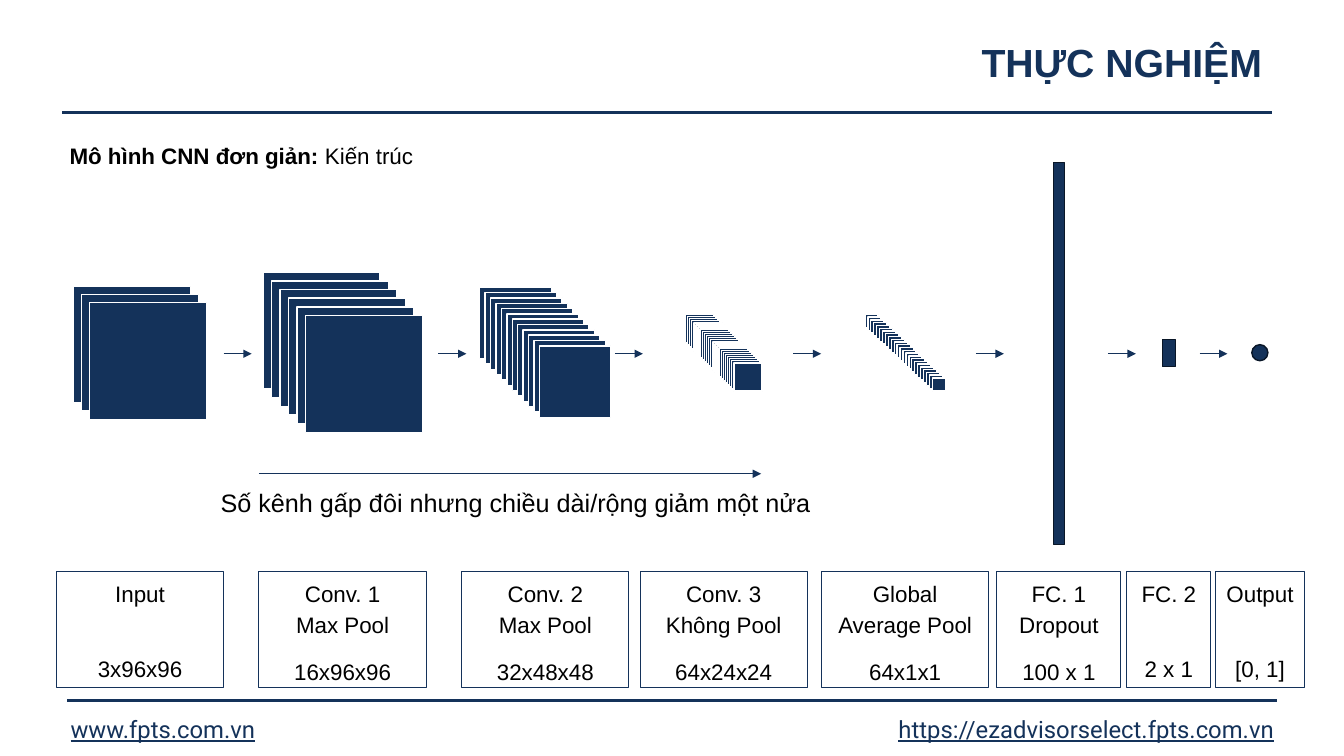
from lxml import etree
from pptx import Presentation
from pptx.dml.color import RGBColor
from pptx.enum import shapes, text
from pptx.oxml import ns
from pptx.util import Pt

COLORS = {"navy": "14325A", "edge": "091627", "white": "FFFFFF", "black": "000000"}
RECT = shapes.MSO_SHAPE.RECTANGLE
OVAL = shapes.MSO_SHAPE.OVAL
LEFT, CENTER, RIGHT = text.PP_ALIGN.LEFT, text.PP_ALIGN.CENTER, text.PP_ALIGN.RIGHT
LINE_SPACING = 1.14
FLOW_Y, ARROW_LENGTH = 252.7, 20
LABEL_TOP, LABEL_HEIGHT = 408.2, 82.8

# First square (left, top), last square (left, top), side, number of squares
STACKS = [
    ((52.6, 204.5), (64.1, 216), 83.5, 3),
    ((188, 194.4), (218.2, 225.4), 83.5, 6),
    ((342.7, 205.2), (385.2, 247), 51.1, 12),
    ((489.6, 224.6), (524.2, 259.2), 20.2, 24),
    ((617.8, 224.6), (666, 270), 9.4, 24),
]
# Preset, left, top, width, height
DENSE_LAYERS = [
    (RECT, 752.4, 115.9, 7.9, 272.9),
    (RECT, 830.2, 242.6, 9.4, 19.4),
    (OVAL, 894.2, 246.2, 11.5, 11.5),
]
FLOW_ARROWS = [159.8, 313.2, 439.2, 566.6, 697, 791.3, 856.8]
# Left, width, layer name, output size, space before the size
LABELS = [
    (40.3, 119.5, "Input", "3x96x96", 26),
    (185, 119.5, "Conv. 1\vMax Pool", "16x96x96", 6),
    (329.8, 119.5, "Conv. 2\vMax Pool", "32x48x48", 6),
    (457.2, 119.5, "Conv. 3\vKhông Pool", "64x24x24", 6),
    (586.8, 119.5, "Global Average Pool", "64x1x1", 6),
    (712.1, 88.6, "FC. 1\vDropout", "100 x 1", 6),
    (805, 59.8, "FC. 2", "2 x 1", 26),
    (868.3, 63.4, "Output", "[0, 1]", 26),
]


def color(name):
    return RGBColor.from_string(COLORS[name])


def format_para(para, size, tint, align=LEFT, font="Arial", bold=None):
    para.alignment = align
    para.font.size = Pt(size)
    para.font.name = font
    para.font.bold = bold
    para.font.color.rgb = color(tint)


def place(item, left, top, width, height):
    item.left, item.top = Pt(left), Pt(top)
    item.width, item.height = Pt(width), Pt(height)


def add_block(parent, preset, left, top, width, height, fill, line, weight):
    block = parent.shapes.add_shape(preset, Pt(left), Pt(top), Pt(width), Pt(height))
    block.shadow.inherit = False
    if fill:
        block.fill.solid()
        block.fill.fore_color.rgb = color(fill)
    else:
        block.fill.background()
    block.line.color.rgb = color(line)
    block.line.width = Pt(weight)
    return block


def add_stack(page, first, last, side, count):
    group = page.shapes.add_group_shape()
    for i in range(count):
        left, top = (a + (b - a) * i / (count - 1) for a, b in zip(first, last))
        add_block(group, RECT, left, top, side, side, "navy", "white", 1)


def add_line(page, left, right, y, weight, arrow=False):
    line = page.shapes.add_connector(
        shapes.MSO_CONNECTOR.STRAIGHT, Pt(left), Pt(y), Pt(right), Pt(y))
    line.line.color.rgb = color("navy")
    line.line.width = Pt(weight)
    if arrow:
        etree.SubElement(line.line._get_or_add_ln(), ns.qn("a:tailEnd"), type="triangle")
    etree.SubElement(line._element.spPr, ns.qn("a:effectLst"))


def add_label(page, left, width, name, size, gap):
    box = add_block(page, RECT, left, LABEL_TOP, width, LABEL_HEIGHT, None, "navy", 0.75)
    frame = box.text_frame
    frame.word_wrap = True
    frame.vertical_anchor = text.MSO_ANCHOR.TOP
    for i, words in enumerate((name, size)):
        para = frame.add_paragraph() if i else frame.paragraphs[0]
        para.text = words
        format_para(para, 16, "black", CENTER)
        para.line_spacing = LINE_SPACING
        para.space_before = Pt(gap if i else 0)
        para.space_after = Pt(6)


def add_text(page, left, top, width, height, words, margin=None):
    box = page.shapes.add_textbox(Pt(left), Pt(top), Pt(width), Pt(height))
    frame = box.text_frame
    frame.word_wrap = True
    if margin is not None:
        frame.margin_left = frame.margin_right = Pt(margin)
        frame.margin_top = frame.margin_bottom = Pt(margin)
    para = frame.paragraphs[0]
    para.text = words
    return para


def add_footer(page, left, words, align):
    para = add_text(page, left, 510.5, 293.8, 20.9, words, margin=0)
    format_para(para, 17, "navy", align, "Roboto")
    para.font.underline = True


def fill_title(title, words):
    place(title, 44.6, 17.3, 864, 49.7)
    frame = title.text_frame
    frame.auto_size = text.MSO_AUTO_SIZE.NONE
    frame.vertical_anchor = text.MSO_ANCHOR.MIDDLE
    para = frame.paragraphs[0]
    para.text = words
    para.line_spacing = LINE_SPACING
    format_para(para, 28, "navy", RIGHT, bold=True)


def fill_body(body, lead, rest):
    place(body, 42.5, 95, 866.2, 391.7)
    frame = body.text_frame
    frame.auto_size = text.MSO_AUTO_SIZE.NONE
    para = frame.paragraphs[0]
    props = para._p.get_or_add_pPr()
    props.set("marL", "0")
    props.set("indent", "0")
    etree.SubElement(props, ns.qn("a:buNone"))
    para.line_spacing = LINE_SPACING
    para.space_before = Pt(0)
    para.space_after = Pt(6)
    for words, bold in ((lead, True), (rest, False)):
        span = para.add_run()
        span.text = words
        span.font.bold = bold
    format_para(para, 16, "black")


def main():
    deck = Presentation()
    deck.slide_width, deck.slide_height = Pt(960), Pt(540)
    page = deck.slides.add_slide(deck.slide_layouts[1])

    # Heading and footer
    fill_title(page.shapes.title, "THỰC NGHIỆM")
    fill_body(page.placeholders[1], "Mô hình CNN đơn giản: ", "Kiến trúc")
    add_line(page, 44.6, 908.6, 80.6, 2.25)
    add_line(page, 48.2, 912.2, 500.4, 2.25)
    add_footer(page, 50.4, "www.fpts.com.vn", LEFT)
    add_footer(page, 616.3, "https://ezadvisorselect.fpts.com.vn", RIGHT)

    # Network layers
    for stack in STACKS:
        add_stack(page, *stack)
    for layer in DENSE_LAYERS:
        add_block(page, *layer, "navy", "edge", 1)
    for label in LABELS:
        add_label(page, *label)

    # Arrows between layers, and the channel growth note
    for left in FLOW_ARROWS:
        add_line(page, left, left + ARROW_LENGTH, FLOW_Y, 0.5, arrow=True)
    add_line(page, 185, 543.6, 338.4, 0.5, arrow=True)
    note = add_text(page, 150.5, 344.2, 442.1, 28.8,
                    "Số kênh gấp đôi nhưng chiều dài/rộng giảm một nửa")
    format_para(note, 18, "black")

    deck.save("out.pptx")


if __name__ == "__main__":
    main()
